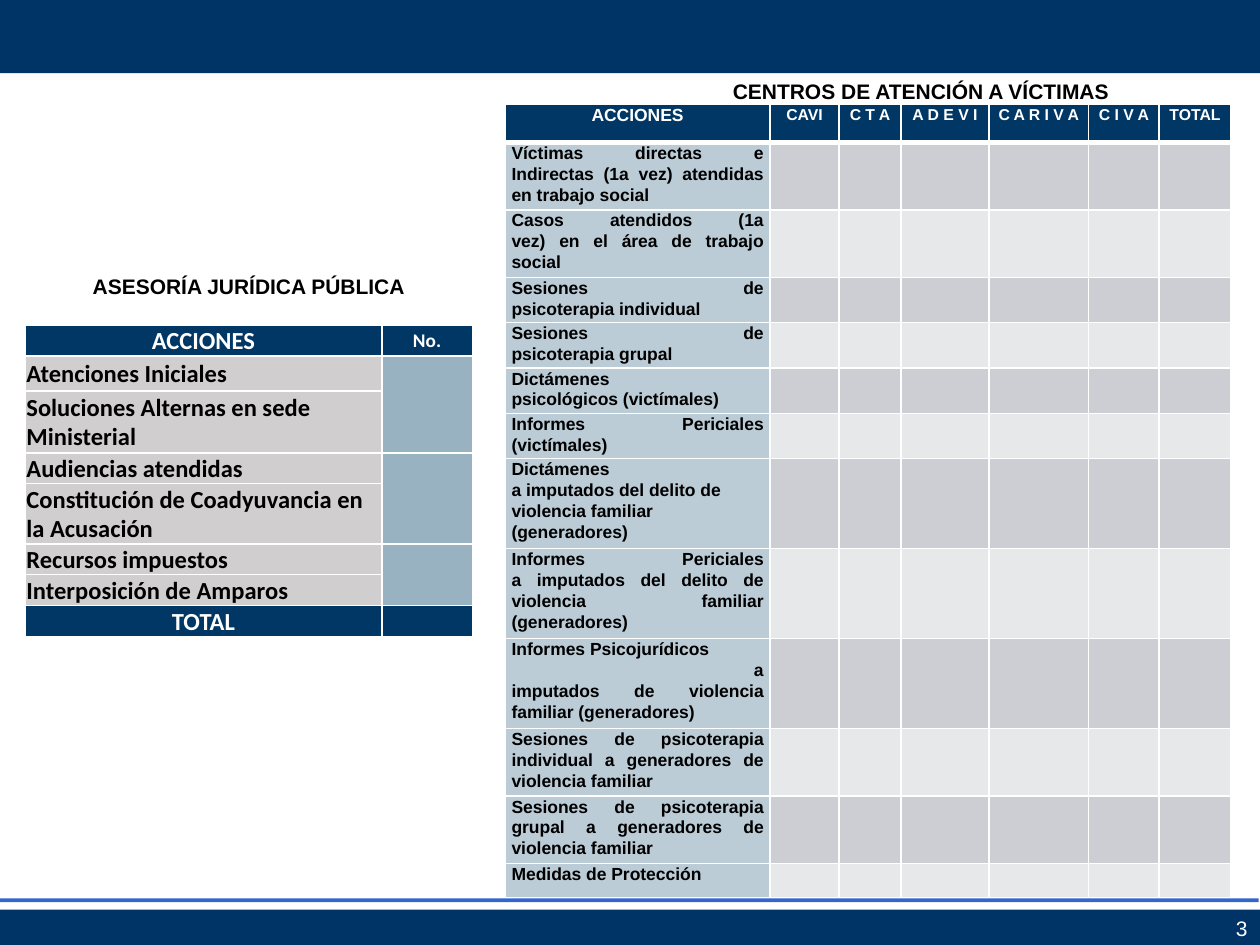
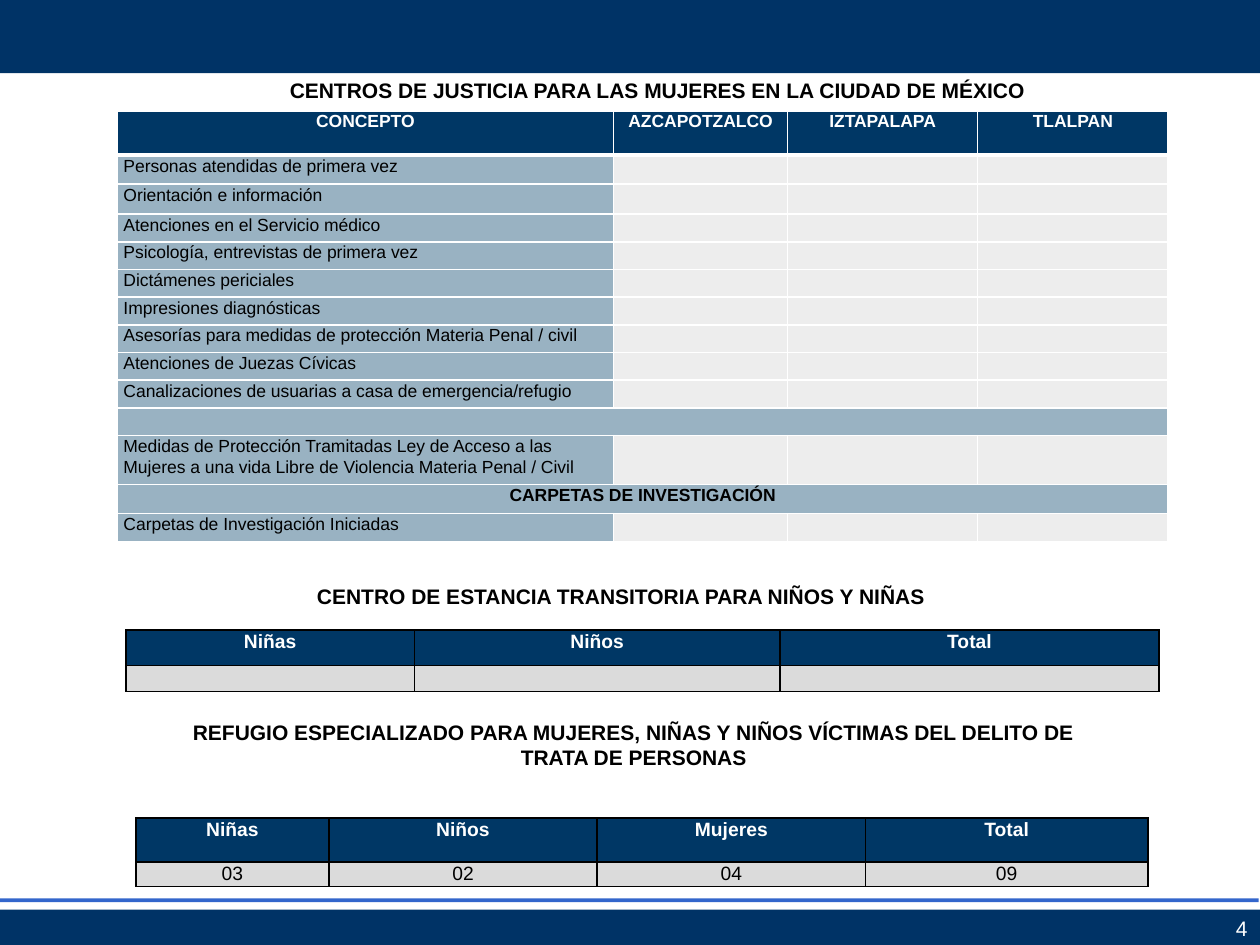
from dataclasses import dataclass

from lxml import etree
from pptx import Presentation, util as u
from pptx.dml.color import RGBColor
from pptx.enum import shapes, text
from pptx.oxml import ns

BAND = RGBColor(0x00, 0x33, 0x66)
RULE = RGBColor(0x33, 0x66, 0xCC)
NAVY = RGBColor(0x00, 0x37, 0x65)
STEEL = RGBColor(0x99, 0xB2, 0xC2)
PALE_STEEL = RGBColor(0xBB, 0xCC, 0xD7)
WARM_GREY = RGBColor(0xD0, 0xCE, 0xCE)
DARK_STRIPE = RGBColor(0xCC, 0xCE, 0xD3)
LIGHT_STRIPE = RGBColor(0xE7, 0xE8, 0xEA)
MIST = RGBColor(0xED, 0xED, 0xED)
SILVER = RGBColor(0xDB, 0xDB, 0xDB)
WHITE = RGBColor(0xFF, 0xFF, 0xFF)
BLACK = RGBColor(0x00, 0x00, 0x00)

LEFT, CENTER, RIGHT, JUSTIFY = (text.PP_ALIGN.LEFT, text.PP_ALIGN.CENTER,
                                text.PP_ALIGN.RIGHT, text.PP_ALIGN.JUSTIFY)
TOP, MIDDLE = text.MSO_ANCHOR.TOP, text.MSO_ANCHOR.MIDDLE
SLIDE_W, SLIDE_H = 10, 7.5
SPACING = 1.07

# Headings: text, left, top, width, height, line spacing
ADVICE_HEADING = ("ASESORÍA JURÍDICA PÚBLICA", 0.2, 2.11, 3.55, 0.3, SPACING)
VICTIMS_HEADING = ("CENTROS DE ATENCIÓN A VÍCTIMAS", 4.86, 0.56, 4.9, 0.3, SPACING)
JUSTICE_HEADING = ("CENTROS DE JUSTICIA PARA LAS MUJERES EN LA CIUDAD DE MÉXICO",
                   1.62, 0.55, 7.2, 0.3, SPACING)
CHILDREN_HEADING = ("CENTRO DE ESTANCIA TRANSITORIA PARA NIÑOS Y NIÑAS",
                    1.28, 4.58, 7.3, 0.3, 1)
REFUGE_HEADING = ("REFUGIO ESPECIALIZADO PARA MUJERES, NIÑAS Y NIÑOS VÍCTIMAS "
                  "DEL DELITO DE TRATA DE PERSONAS", 1.38, 5.66, 7.3, 0.5, 1)

# Action and row height
ADVICE_ACTIONS = [
    ("Atenciones Iniciales", 0.28),
    ("Soluciones Alternas en sede Ministerial", 0.49),
    ("Audiencias atendidas", 0.24),
    ("Constitución de Coadyuvancia en la Acusación", 0.48),
    ("Recursos impuestos", 0.24),
    ("Interposición de Amparos", 0.24),
]

CENTRES = ["CAVI", "C T A", "A D E V I", "C A R I V A", "C I V A", "TOTAL"]
# Paragraphs (text, alignment) and the number of lines they fill
VICTIM_ACTIONS = [
    ([("Víctimas directas e\nIndirectas (1a vez) atendidas en trabajo social", JUSTIFY)], 3),
    ([("Casos atendidos (1a\nvez) en el área de trabajo social", JUSTIFY)], 3),
    ([("Sesiones de\npsicoterapia individual", JUSTIFY)], 2),
    ([("Sesiones de\npsicoterapia grupal", JUSTIFY)], 2),
    ([("Dictámenes\npsicológicos (victímales)", LEFT)], 2),
    ([("Informes Periciales\n(victímales)", JUSTIFY)], 2),
    ([("Dictámenes\na imputados del delito de violencia familiar (generadores)", LEFT)], 4),
    ([("Informes Periciales\na imputados del delito de violencia familiar (generadores)",
       JUSTIFY)], 4),
    ([("Informes Psicojurídicos", JUSTIFY), ("a", RIGHT),
      ("imputados de violencia familiar (generadores)", JUSTIFY)], 4),
    ([("Sesiones de psicoterapia\nindividual a generadores de violencia familiar", JUSTIFY)], 3),
    ([("Sesiones de psicoterapia\ngrupal a generadores de violencia familiar", JUSTIFY)], 3),
    ([("Medidas de Protección", JUSTIFY)], 1.5),
]

JUSTICE_HEADER = ["CONCEPTO", "AZCAPOTZALCO", "IZTAPALAPA", "TLALPAN"]
SECTION = "CARPETAS DE INVESTIGACIÓN"
JUSTICE_CONCEPTS = [
    ("Personas atendidas de primera vez", 0.23),
    ("Orientación e información", 0.24),
    ("Atenciones en el Servicio médico", 0.22),
    ("Psicología, entrevistas de primera vez", 0.22),
    ("Dictámenes periciales", 0.22),
    ("Impresiones diagnósticas", 0.22),
    ("Asesorías para medidas de protección Materia Penal / civil", 0.22),
    ("Atenciones de Juezas Cívicas", 0.22),
    ("Canalizaciones de usuarias a casa de emergencia/refugio", 0.22),
    ("", 0.22),
    ("Medidas de Protección Tramitadas Ley de Acceso a las Mujeres a una vida "
     "Libre de Violencia Materia Penal / Civil", 0.39),
    (SECTION, 0.23),
    ("Carpetas de Investigación Iniciadas", 0.22),
]

CHILDREN = ["Niñas", "Niños", "Total"]
REFUGE = {"Niñas": "03", "Niños": "02", "Mujeres": "04", "Total": "09"}


@dataclass
class Cell:
    fill: RGBColor
    text: str = ""
    size: float = 10
    color: RGBColor = BLACK
    bold: bool = False
    align: int = LEFT
    paragraphs: list = None


@dataclass
class Look:
    """What all cells of one table share."""
    line: RGBColor = WHITE
    head_rule: float = 1
    font: str = "Arial"
    anchor: int = TOP
    margins: tuple = (0.05, 0, 0.05, 0)
    spacing: float = SPACING


def head(label, size=10):
    return Cell(NAVY, label, size, WHITE, True, CENTER)


def write(p, words, font, size, color, bold, align, spacing=1):
    p.alignment, p.line_spacing = align, spacing
    for i, line in enumerate(words.split("\n")):
        if i:
            p.add_line_break()
        r = p.add_run()
        r.text = line
        r.font.name, r.font.size, r.font.bold = font, u.Pt(size), bold
        r.font.color.rgb = color


def set_margins(target, margins):
    (target.margin_left, target.margin_top,
     target.margin_right, target.margin_bottom) = map(u.Inches, margins)


def add_border(cell, side, color, width):
    ln = etree.SubElement(cell._tc.get_or_add_tcPr(), ns.qn(f"a:ln{side}"),
                          w=str(u.Pt(width)))
    if width:
        fill = etree.SubElement(ln, ns.qn("a:solidFill"))
        etree.SubElement(fill, ns.qn("a:srgbClr"), val=str(color))
    else:
        etree.SubElement(ln, ns.qn("a:noFill"))


def fill_cell(cell, content, look, top, bottom):
    set_margins(cell, look.margins)
    cell.vertical_anchor = look.anchor
    for side, width in (("L", 1), ("R", 1), ("T", top), ("B", bottom)):
        add_border(cell, side, look.line, width)
    cell.fill.solid()
    cell.fill.fore_color.rgb = content.fill
    tf = cell.text_frame
    paragraphs = content.paragraphs or [(content.text, content.align)]
    for i, (words, align) in enumerate(paragraphs):
        p = tf.add_paragraph() if i else tf.paragraphs[0]
        if words:
            write(p, words, look.font, content.size, content.color, content.bold,
                  align, look.spacing)
        else:
            p._p.get_or_add_endParaRPr().set("sz", "800")


def add_grid(s, left, top, cols, heights, rows, look, open_edges=()):
    """Draw a table; open_edges holds (row, column) of cells without a bottom border."""
    frame = s.shapes.add_table(len(rows), len(cols), u.Inches(left), u.Inches(top),
                               u.Inches(sum(cols)), u.Inches(sum(heights)))
    table = frame.table
    table.first_row = table.horz_banding = False
    for column, width in zip(table.columns, cols):
        column.width = u.Inches(width)
    for row, height in zip(table.rows, heights):
        row.height = u.Inches(height)

    def edge(i, j):
        if (i, j) in open_edges:
            return 0
        return look.head_rule if i == 0 else 1

    for i, row in enumerate(rows):
        for j, content in enumerate(row):
            fill_cell(table.cell(i, j), content, look, edge(i - 1, j), edge(i, j))
    return table


def add_band(s, left, top, height, color):
    sp = s.shapes.add_shape(shapes.MSO_SHAPE.RECTANGLE, u.Inches(left), u.Inches(top),
                            u.Inches(SLIDE_W), u.Inches(height))
    sp.shadow.inherit = False
    sp.fill.solid()
    sp.fill.fore_color.rgb = color
    sp.line.fill.background()


def add_text(s, words, left, top, width, height, margins, anchor, **style):
    tf = s.shapes.add_textbox(*map(u.Inches, (left, top, width, height))).text_frame
    tf.word_wrap = True
    tf.vertical_anchor = anchor
    set_margins(tf, margins)
    write(tf.paragraphs[0], words, "Arial", 12, **style)


def add_heading(s, words, left, top, width, height, spacing):
    add_text(s, words, left, top, width, height, (0.05,) * 4, TOP,
             color=BLACK, bold=True, align=CENTER, spacing=spacing)


def add_page(prs, number):
    """Add a blank slide with the shared bands and page number."""
    s = prs.slides.add_slide(prs.slide_layouts[6])
    add_band(s, 0, 0, 0.58, BAND)
    add_band(s, -0.01, 7.13, 0.03, RULE)
    add_band(s, 0, 7.22, 0.29, BAND)
    add_text(s, str(number), 7.75, 7.25, 2.25, 0.23, (0.1, 0.05, 0.1, 0.05), MIDDLE,
             color=WHITE, bold=False, align=RIGHT)
    return s


def add_advice_table(s):
    rows = [[head("ACCIONES", 14), head("No.", 11)]]
    rows += [[Cell(WARM_GREY, action, 14, bold=True), Cell(STEEL)]
             for action, _ in ADVICE_ACTIONS]
    rows.append([head("TOTAL", 14), Cell(NAVY)])
    heights = [0.24] + [height for _, height in ADVICE_ACTIONS] + [0.25]
    look = Look(head_rule=1.5, font="Calibri", anchor=MIDDLE,
                margins=(0.01, 0.01, 0.01, 0), spacing=1)
    paired = {(i, 1) for i in range(1, len(ADVICE_ACTIONS), 2)}
    add_grid(s, 0.2, 2.58, [2.83, 0.72], heights, rows, look, paired)


def add_victims_table(s):
    rows = [[head("ACCIONES")] + [head(centre, 9) for centre in CENTRES]]
    for i, (paragraphs, _) in enumerate(VICTIM_ACTIONS):
        stripe = LIGHT_STRIPE if i % 2 else DARK_STRIPE
        rows.append([Cell(PALE_STEEL, bold=True, paragraphs=paragraphs)]
                    + [Cell(stripe)] * len(CENTRES))
    heights = [0.3] + [0.01 + 0.175 * lines for _, lines in VICTIM_ACTIONS]
    add_grid(s, 4.01, 0.83, [2.1, 0.55, 0.49, 0.7, 0.79, 0.56, 0.57],
             heights, rows, Look(head_rule=3))


def add_justice_table(s):
    rows = [[head(label) for label in JUSTICE_HEADER]]
    full_width = []
    for i, (concept, _) in enumerate(JUSTICE_CONCEPTS, 1):
        if concept in ("", SECTION):
            full_width.append(i)
            rows.append([Cell(STEEL, concept, bold=True, align=CENTER)] + [Cell(STEEL)] * 3)
        else:
            rows.append([Cell(STEEL, concept)] + [Cell(MIST)] * 3)
    heights = [0.35] + [height for _, height in JUSTICE_CONCEPTS]
    table = add_grid(s, 0.93, 0.88, [3.94, 1.38, 1.51, 1.51], heights, rows,
                     Look(head_rule=3))
    for i in full_width:
        table.cell(i, 0).merge(table.cell(i, 3))


def add_count_table(s, left, top, cols, heights, labels, values):
    rows = [[head(label, 11) for label in labels],
            [Cell(SILVER, value, 11, align=CENTER) for value in values]]
    add_grid(s, left, top, cols, heights, rows, Look(line=BLACK, margins=(0,) * 4))


def main():
    prs = Presentation()
    prs.slide_width, prs.slide_height = u.Inches(SLIDE_W), u.Inches(SLIDE_H)

    s = add_page(prs, 3)
    add_heading(s, *ADVICE_HEADING)
    add_advice_table(s)
    add_victims_table(s)
    add_heading(s, *VICTIMS_HEADING)

    s = add_page(prs, 4)
    for heading in (JUSTICE_HEADING, CHILDREN_HEADING, REFUGE_HEADING):
        add_heading(s, *heading)
    add_justice_table(s)
    add_count_table(s, 1, 5, [2.29, 2.9, 3.01], [0.28, 0.21],
                    CHILDREN, [""] * len(CHILDREN))
    add_count_table(s, 1.08, 6.49, [1.53, 2.13, 2.13, 2.24], [0.35, 0.19],
                    REFUGE.keys(), REFUGE.values())

    prs.save("out.pptx")


if __name__ == "__main__":
    main()
